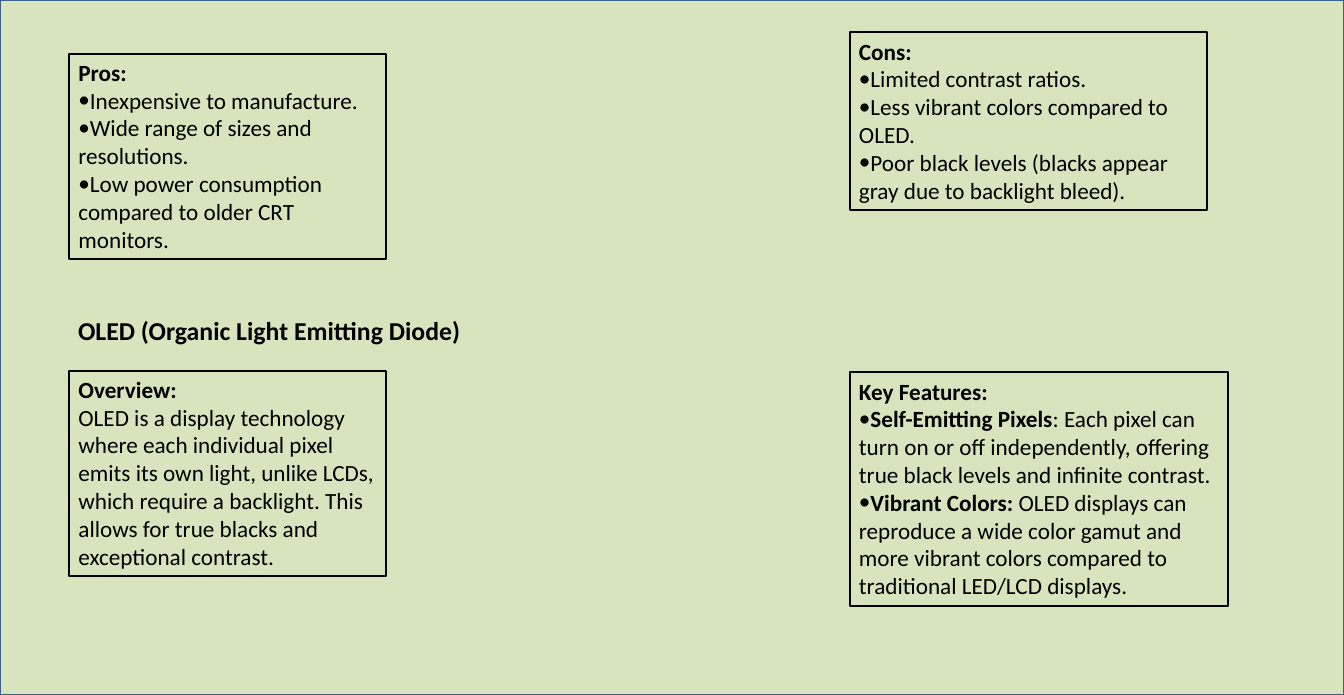
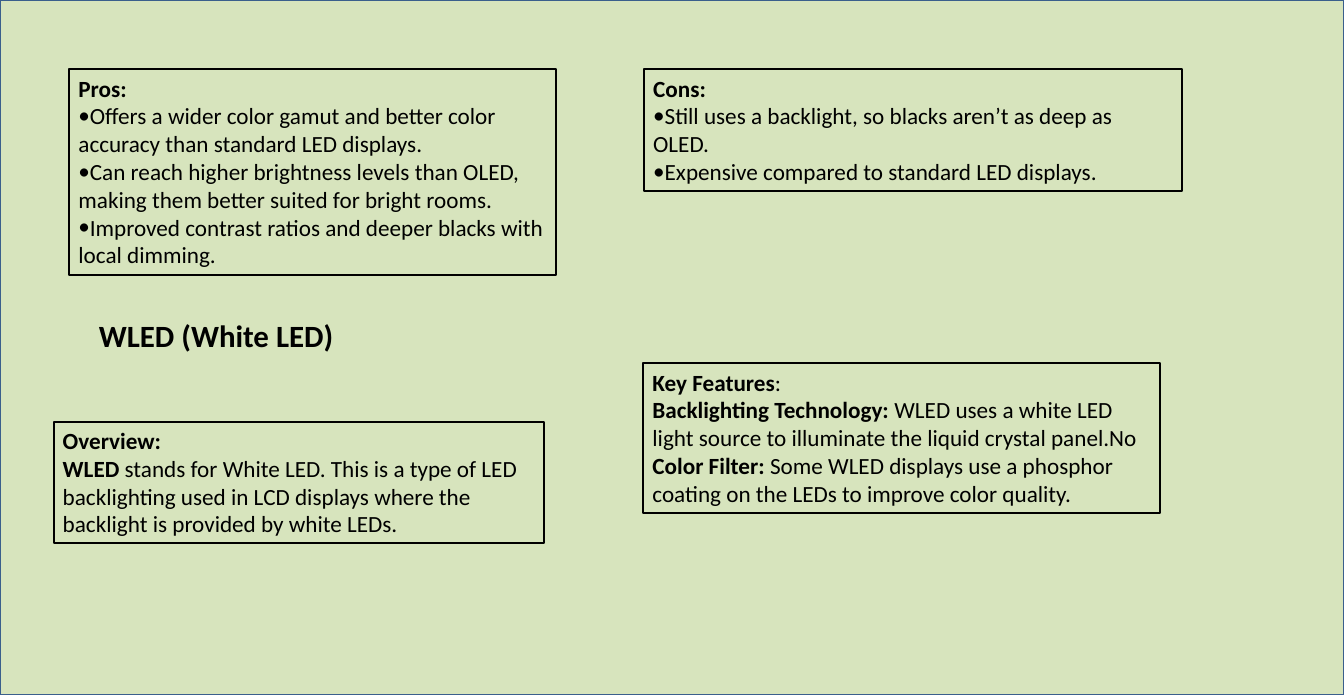
from lxml import etree
from pptx import Presentation
from pptx import util as u
from pptx.dml.color import RGBColor
from pptx.enum import shapes, text
from pptx.oxml.ns import qn

COLORS = {"background": "D7E4BD", "frame": "3A5F8C", "ink": "000000"}
FONT = "Calibri"
SLIDE_WIDTH, SLIDE_HEIGHT = u.Cm(36.83), u.Cm(19.05)
LINE_HEIGHT, BOX_PADDING = 0.77, 0.25

LCD_AND_OLED = {
    "title": ("OLED (Organic Light Emitting Diode)", 1.89, 8.51, 12.9, 20),
    "cards": [
        (1.9, 1.47, 8.69, 7, [
            "**Pros:**",
            "•Inexpensive to manufacture.",
            "•Wide range of sizes and resolutions.",
            "•Low power consumption compared to older CRT monitors.",
        ]),
        (23.29, 0.89, 9.8, 6, [
            "**Cons:**",
            "•Limited contrast ratios.",
            "•Less vibrant colors compared to OLED.",
            "•Poor black levels (blacks appear gray due to backlight bleed).",
        ]),
        (1.9, 10.16, 8.69, 7, [
            "**Overview:**",
            "OLED is a display technology where each individual pixel emits its own light, "
            "unlike LCDs, which require a backlight. This allows for true blacks and "
            "exceptional contrast.",
        ]),
        (23.29, 10.21, 10.36, 8, [
            "**Key Features:**",
            "•**Self-Emitting Pixels**: Each pixel can turn on or off independently, "
            "offering true black levels and infinite contrast.",
            "•**Vibrant Colors: **OLED displays can reproduce a wide color gamut and more "
            "vibrant colors compared to traditional LED/LCD displays.",
        ]),
    ],
}

WLED = {
    "title": ("WLED (White LED)", 2.46, 8.56, 8.05, 24),
    "cards": [
        (1.9, 1.9, 13.34, 7, [
            "**Pros:**",
            "•Offers a wider color gamut and better color accuracy than standard LED displays.",
            "•Can reach higher brightness levels than OLED, making them better suited for "
            "bright rooms.",
            "•Improved contrast ratios and deeper blacks with local dimming.",
        ]),
        (17.65, 1.9, 14.73, 4, [
            "**Cons:**",
            "•Still uses a backlight, so blacks aren’t as deep as OLED.",
            "•Expensive compared to standard LED displays.",
        ]),
        (1.47, 11.56, 13.44, 4, [
            "**Overview:**",
            "**WLED **stands for White LED. This is a type of LED backlighting used in LCD "
            "displays where the backlight is provided by white LEDs.",
        ]),
        (17.63, 9.96, 14.17, 5, [
            "**Key Features**:",
            "**Backlighting Technology: **WLED uses a white LED light source to illuminate "
            "the liquid crystal panel.No **Color Filter: **Some WLED displays use a phosphor "
            "coating on the LEDs to improve color quality.",
        ]),
    ],
}


def color(name):
    return RGBColor.from_string(COLORS[name])


def add_bullet(paragraph):
    properties = paragraph._p.get_or_add_pPr()
    properties.set("marL", "0")
    properties.set("indent", "0")
    etree.SubElement(properties, qn("a:buFont")).set("typeface", FONT)
    etree.SubElement(properties, qn("a:buChar")).set("char", "•")


def write(frame, lines, size=18, ink="ink", align=text.PP_ALIGN.LEFT):
    frame.word_wrap = True
    frame.auto_size = text.MSO_AUTO_SIZE.SHAPE_TO_FIT_TEXT
    frame.vertical_anchor = text.MSO_ANCHOR.TOP
    for index, line in enumerate(lines):
        paragraph = frame.add_paragraph() if index else frame.paragraphs[0]
        paragraph.alignment = align
        if line.startswith("•"):
            add_bullet(paragraph)
        for part, wording in enumerate(line.removeprefix("•").split("**")):
            if wording:
                run = paragraph.add_run()
                run.text = wording
                run.font.name = FONT
                run.font.size = u.Pt(size)
                run.font.bold = part % 2 == 1
                run.font.color.rgb = color(ink)


def add_rectangle(slide, left, top, width, height, line, weight, fill=None):
    rectangle = slide.shapes.add_shape(
        shapes.MSO_SHAPE.RECTANGLE, left, top, width, height)
    rectangle.shadow.inherit = False
    if fill:
        rectangle.fill.solid()
        rectangle.fill.fore_color.rgb = color(fill)
    else:
        rectangle.fill.background()
    rectangle.line.color.rgb = color(line)
    rectangle.line.width = u.Pt(weight)
    return rectangle


def add_title(slide, wording, left, top, width, size):
    title = slide.shapes.add_textbox(
        u.Cm(left), u.Cm(top), u.Cm(width), u.Cm(1.2))
    write(title.text_frame, [f"**{wording}**"], size=size)


def add_card(slide, left, top, width, line_count, lines):
    height = line_count * LINE_HEIGHT + BOX_PADDING
    card = add_rectangle(slide, u.Cm(left), u.Cm(top), u.Cm(width), u.Cm(height),
                         line="ink", weight=1.5)
    write(card.text_frame, lines)


def add_display_slide(deck, content):
    slide = deck.slides.add_slide(deck.slide_layouts[6])
    add_rectangle(slide, 0, 0, SLIDE_WIDTH, SLIDE_HEIGHT,
                  line="frame", weight=2, fill="background")
    add_title(slide, *content["title"])
    for card in content["cards"]:
        add_card(slide, *card)


def main():
    deck = Presentation()
    deck.slide_width, deck.slide_height = SLIDE_WIDTH, SLIDE_HEIGHT
    for content in (LCD_AND_OLED, WLED):
        add_display_slide(deck, content)
    deck.save("out.pptx")


if __name__ == "__main__":
    main()
